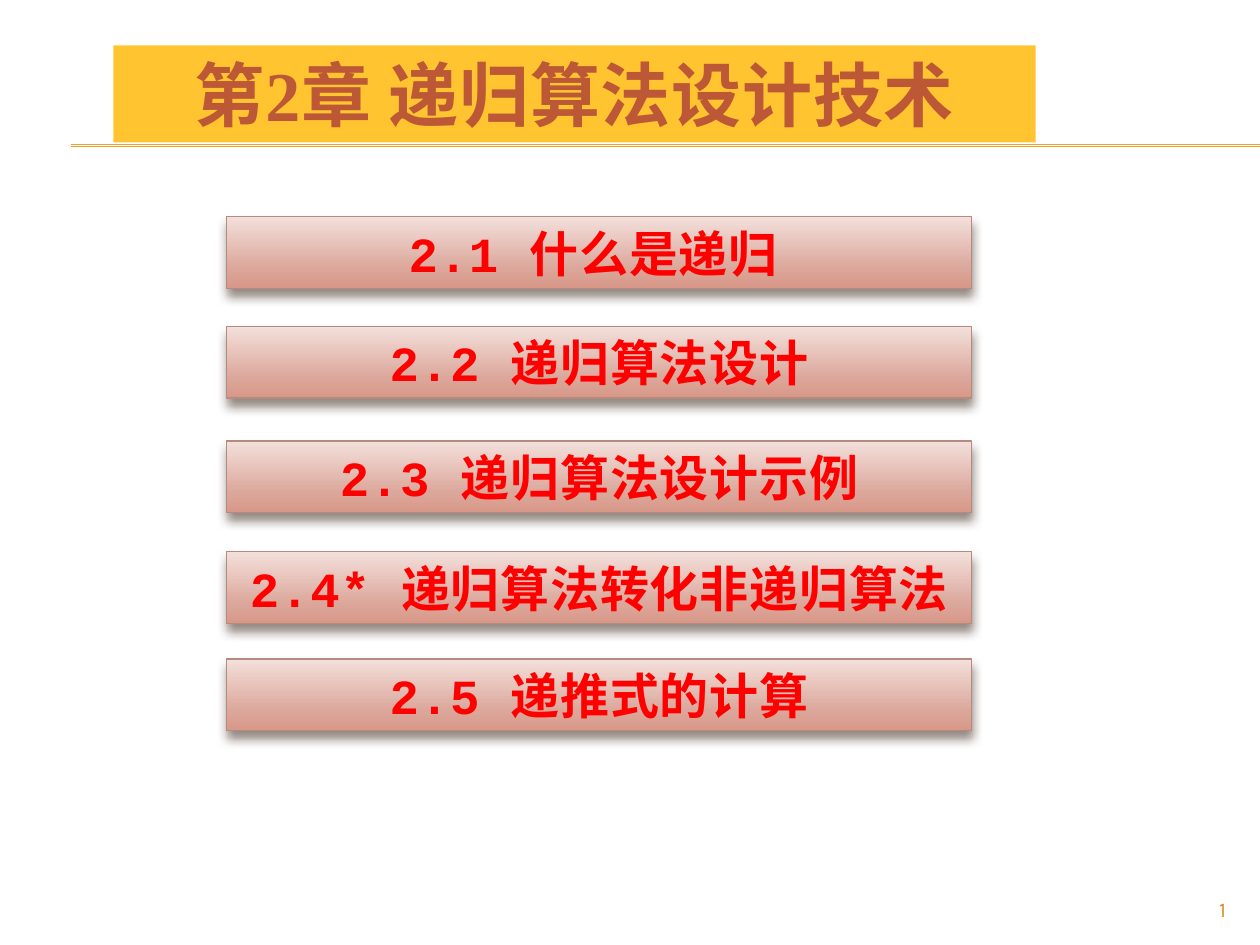
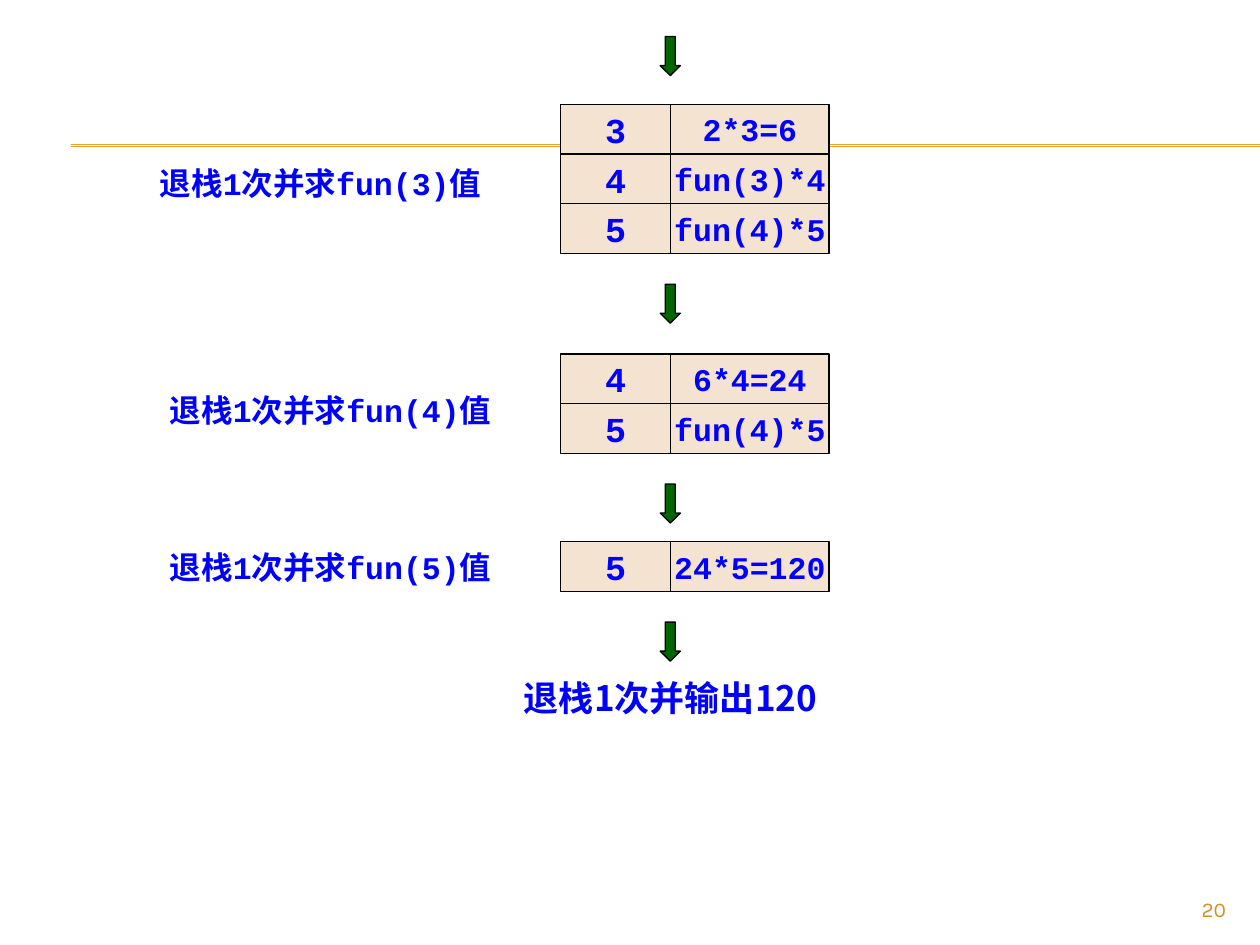
from dataclasses import dataclass

from lxml.etree import SubElement
from pptx import Presentation
from pptx.dml.color import RGBColor
from pptx.enum.shapes import MSO_CONNECTOR, MSO_SHAPE
from pptx.enum.text import MSO_ANCHOR, PP_ALIGN
from pptx.oxml.ns import qn
from pptx.util import Inches, Pt

WIDTH, HEIGHT = Inches(10), Inches(7.5)
COL, ROW = WIDTH / 100, HEIGHT / 100


@dataclass(frozen=True)
class Theme:
    """Colours, fonts and type sizes of the deck."""
    rule: str = "F0A22E"
    band: str = "FFC42F"
    title: str = "BD5836"
    topic: str = "FF0000"
    topic_line: str = "B58B80"
    topic_stops: tuple = ((0, "F3E0DB"), (72, "DCA79B"), (100, "D89787"))
    shadow: str = "4E3B30"
    ink: str = "0000FF"
    cell: str = "F5E3D1"
    arrow: str = "006600"
    black: str = "000000"
    number: str = "D48F29"
    serif: str = "Times New Roman"
    mono: str = "Courier New"
    cjk: str = "Noto Sans CJK SC"
    number_font: str = "Karla"
    title_size: int = 40
    topic_size: int = 28
    large: int = 20
    body: int = 18
    small: int = 12
    thin: float = 0.75


T = Theme()


@dataclass(frozen=True)
class Box:
    """A rectangle in hundredths of the slide's width and height."""
    x: float
    y: float
    w: float
    h: float

    def emu(self):
        """Return left, top, width and height in slide units."""
        return [round(v) for v in (self.x * COL, self.y * ROW, self.w * COL, self.h * ROW)]


def rgb(color):
    """Turn a hex string into a colour."""
    return RGBColor.from_string(color)


def write(sp, text, font, size, color, align=PP_ALIGN.LEFT, bold=True, spacing=None, wrap=True):
    """Put one run of text in a shape, centred vertically."""
    tf = sp.text_frame
    tf.word_wrap = wrap
    tf.vertical_anchor = MSO_ANCHOR.MIDDLE
    p = tf.paragraphs[0]
    p.alignment = align
    r = p.add_run()
    r.text = text
    r.font.name, r.font.size, r.font.bold = font, Pt(size), bold
    r.font.color.rgb = rgb(color)
    rPr = r._r.get_or_add_rPr()
    SubElement(rPr, qn("a:ea"), typeface=T.cjk)
    if spacing:
        rPr.set("spc", str(round(spacing * 100)))


def add_text(s, box, text, font, size, color, **style):
    """Add a text box."""
    write(s.shapes.add_textbox(*box.emu()), text, font, size, color, **style)


def add_block(s, box, fill, line=None, kind=MSO_SHAPE.RECTANGLE):
    """Add a flat filled shape with an optional thin outline."""
    sp = s.shapes.add_shape(kind, *box.emu())
    sp.shadow.inherit = False
    sp.fill.solid()
    sp.fill.fore_color.rgb = rgb(fill)
    if line:
        sp.line.color.rgb = rgb(line)
        sp.line.width = Pt(T.thin)
    else:
        sp.line.fill.background()
    return sp


def add_color(parent, color, alpha=None):
    """Append a colour element with optional opacity in percent."""
    clr = SubElement(parent, qn("a:srgbClr"), val=color)
    if alpha:
        SubElement(clr, qn("a:alpha"), val=str(alpha * 1000))


def shade(sp):
    """Give a shape the vertical gradient and soft shadow of a topic bar."""
    spPr = sp._element.spPr
    effects = spPr.find(qn("a:effectLst"))
    shadow = SubElement(effects, qn("a:outerShdw"), blurRad=str(Pt(6)), dist=str(Pt(4)),
                        dir="5400000", rotWithShape="0")
    add_color(shadow, T.shadow, 60)
    grad = SubElement(spPr, qn("a:gradFill"), rotWithShape="1")
    stops = SubElement(grad, qn("a:gsLst"))
    for pos, color in T.topic_stops:
        add_color(SubElement(stops, qn("a:gs"), pos=str(pos * 1000)), color)
    SubElement(grad, qn("a:lin"), ang="5400000", scaled="0")
    spPr.replace(spPr.find(qn("a:solidFill")), grad)


def add_base(prs, number):
    """Add a blank slide with the double rule and the slide number."""
    s = prs.slides.add_slide(prs.slide_layouts[6])
    for y in (15.33, 15.47):
        left, top, width, _ = Box(5.6, y, 94.4, 0).emu()
        rule = s.shapes.add_connector(MSO_CONNECTOR.STRAIGHT, left, top, left + width, top)
        rule.line.color.rgb = rgb(T.rule)
        rule.line.width = Pt(T.thin)
        SubElement(rule._element.spPr, qn("a:effectLst"))
    add_text(s, Box(90, 94.4, 8.3, 3.6), number, T.number_font, T.small, T.number,
             align=PP_ALIGN.RIGHT, bold=False)
    return s


def add_topic(s, box, text):
    """Add one gradient topic bar."""
    sp = add_block(s, box, T.cell, T.topic_line)
    shade(sp)
    write(sp, text, T.mono, T.topic_size, T.topic, align=PP_ALIGN.CENTER, spacing=0.5)


def chapter_slide(prs, number, title, topics):
    """Build the chapter opening with its list of topics."""
    s = add_base(prs, number)
    band = add_block(s, Box(9, 4.8, 73.2, 10.27), T.band)
    write(band, title, T.serif, T.title_size, T.title, align=PP_ALIGN.CENTER, spacing=0.5)
    for y, text in topics:
        add_topic(s, Box(18, y, 59.1, 7.6), text)


def add_arrow(s, y):
    """Add a down arrow on the line between the stack's columns."""
    sp = add_block(s, Box(52.4, y, 1.6, 4.13), T.arrow, T.black, MSO_SHAPE.DOWN_ARROW)
    sp.adjustments[0], sp.adjustments[1] = 0.5, 0.497


def add_stack(s, box, frames):
    """Fill a box with equal rows of argument and expression cells."""
    row_h = box.h / len(frames)
    split = box.w * 0.41
    for i, (arg, expr) in enumerate(frames):
        y = box.y + i * row_h
        for x, w, text, size in ((box.x, split, arg, T.large),
                                 (box.x + split, box.w - split, expr, T.body)):
            sp = add_block(s, Box(x, y, w, row_h), T.cell, T.black)
            write(sp, text, T.mono, size, T.ink, align=PP_ALIGN.CENTER, wrap=False)


def stack_slide(prs, number, steps, result):
    """Build the sequence of stack states down to the result."""
    s = add_base(prs, number)
    add_arrow(s, 3.87)
    for top, label_x, label_y, label, frames in steps:
        box = Box(44.5, top, 21.3, 5.25 * len(frames))
        add_stack(s, box, frames)
        add_text(s, Box(label_x, label_y, 44 - label_x, 5.33), label, T.mono, T.body, T.ink)
        add_arrow(s, box.y + box.h + 3.25)
    add_text(s, Box(40.6, 70.93, 28.4, 5.73), result, T.cjk, T.large, T.ink)


def main():
    """Build and save the deck."""
    prs = Presentation()
    prs.slide_width, prs.slide_height = WIDTH, HEIGHT
    chapter_slide(prs, "1", "第2章 递归算法设计技术", (
        (22.93, "2.1 什么是递归 "),
        (34.53, "2.2 递归算法设计"),
        (46.67, "2.3 递归算法设计示例"),
        (58.4, "2.4* 递归算法转化非递归算法"),
        (69.73, "2.5 递推式的计算"),
    ))
    stack_slide(prs, "20", (
        (11.07, 11.7, 16.67, "退栈1次并求fun(3)值",
         (("3", "2*3=6"), ("4", "fun(3)*4"), ("5", "fun(4)*5"))),
        (37.47, 12.5, 40.67, "退栈1次并求fun(4)值",
         (("4", "6*4=24"), ("5", "fun(4)*5"))),
        (57.33, 12.5, 57.33, "退栈1次并求fun(5)值", (("5", "24*5=120"),)),
    ), "退栈1次并输出120")
    prs.save("out.pptx")


if __name__ == "__main__":
    main()
